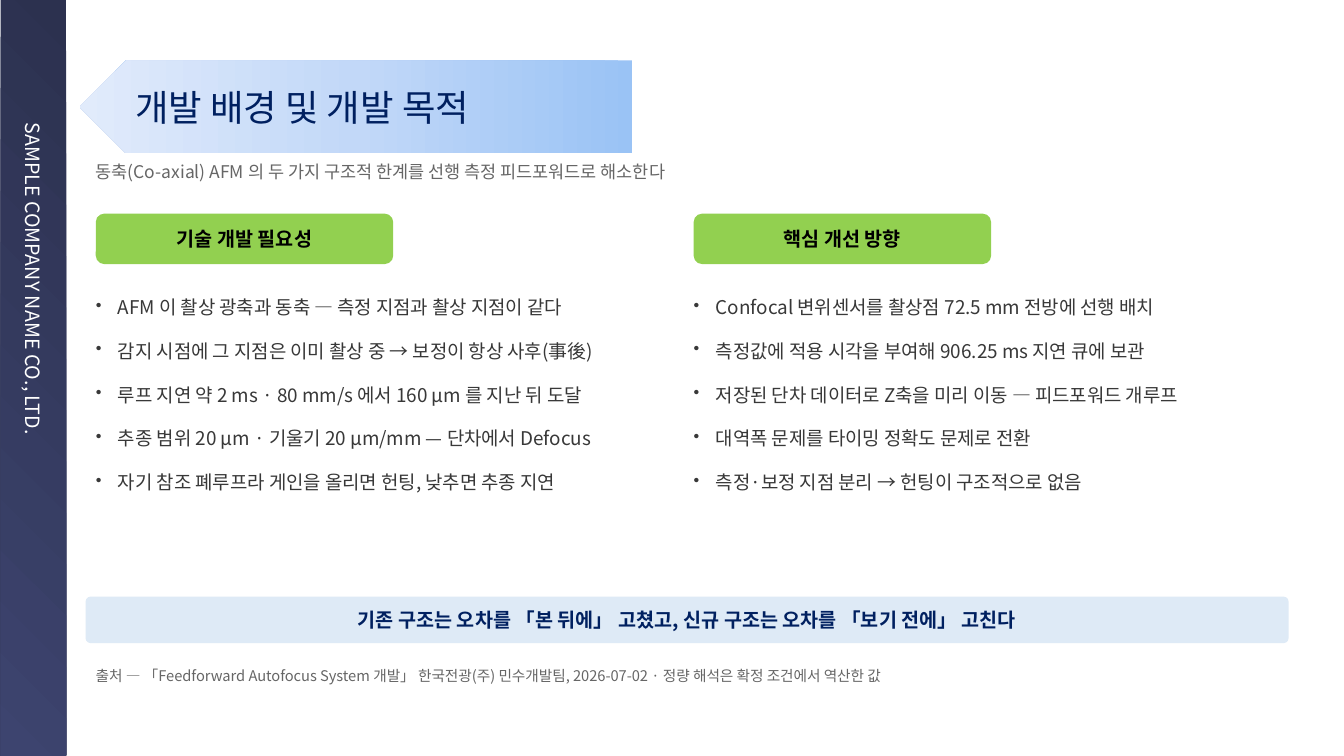
from typing import NamedTuple

from lxml.etree import SubElement
from pptx import Presentation
from pptx.dml.color import RGBColor
from pptx.enum.shapes import MSO_SHAPE
from pptx.enum.text import MSO_ANCHOR, MSO_AUTO_SIZE, PP_ALIGN
from pptx.oxml.ns import qn
from pptx.util import Inches, Pt

FONT = "Noto Sans CJK KR"
NAVY = "002060"
GRAY = "666666"
BODY = "383838"
WHITE = "FFFFFF"
BLACK = "000000"
GREEN = "92D050"
PALE_BLUE = "DEEAF6"
LEFT = 0.95


class Box(NamedTuple):
    left: float
    top: float
    width: float
    height: float


class Column(NamedTuple):
    left: float
    width: float
    heading: str
    points: list[str]


COLUMNS = [
    Column(LEFT, 5.78, "기술 개발 필요성", [
        "AFM 이 촬상 광축과 동축 — 측정 지점과 촬상 지점이 같다",
        "감지 시점에 그 지점은 이미 촬상 중 → 보정이 항상 사후(事後)",
        "루프 지연 약 2 ms · 80 mm/s 에서 160 µm 를 지난 뒤 도달",
        "추종 범위 20 µm · 기울기 20 µm/mm — 단차에서 Defocus",
        "자기 참조 폐루프라 게인을 올리면 헌팅, 낮추면 추종 지연",
    ]),
    Column(6.88, 5.72, "핵심 개선 방향", [
        "Confocal 변위센서를 촬상점 72.5 mm 전방에 선행 배치",
        "측정값에 적용 시각을 부여해 906.25 ms 지연 큐에 보관",
        "저장된 단차 데이터로 Z축을 미리 이동 — 피드포워드 개루프",
        "대역폭 문제를 타이밍 정확도 문제로 전환",
        "측정·보정 지점 분리 → 헌팅이 구조적으로 없음",
    ]),
]


def rgb(color: str) -> RGBColor:
    return RGBColor.from_string(color)


def add_bullet(p) -> None:
    pPr = p._p.get_or_add_pPr()
    pPr.set("marL", str(Inches(0.22)))
    pPr.set("indent", str(Inches(-0.22)))
    SubElement(pPr, qn("a:buSzPct"), val="90000")
    SubElement(pPr, qn("a:buChar"), char="•")


def write_text(sp, *lines: str, size: float, color: str, bold: bool = False,
               align=PP_ALIGN.LEFT, anchor=MSO_ANCHOR.TOP, insets=(0, 0, 0, 0),
               wrap: bool = True, spacing: float | None = None,
               after: float | None = None, bullet: bool = False) -> None:
    tf = sp.text_frame
    tf.word_wrap = wrap
    tf.vertical_anchor = anchor
    tf.margin_left, tf.margin_top, tf.margin_right, tf.margin_bottom = map(Inches, insets)
    for i, line in enumerate(lines):
        p = tf.add_paragraph() if i else tf.paragraphs[0]
        if bullet:
            add_bullet(p)
        p.alignment = align
        if spacing is not None:
            p.line_spacing = spacing
        if after is not None:
            p.space_after = Pt(after)
        r = p.add_run()
        r.text = line
        r.font.size = Pt(size)
        r.font.bold = bold
        r.font.color.rgb = rgb(color)
        r.font.name = FONT
        SubElement(r.font._element, qn("a:ea"), typeface=FONT)


def add_label(s, box: Box, *lines: str, **fmt):
    sp = s.shapes.add_textbox(*map(Inches, box))
    sp.text_frame.auto_size = MSO_AUTO_SIZE.SHAPE_TO_FIT_TEXT
    write_text(sp, *lines, **fmt)
    return sp


def add_panel(s, kind: MSO_SHAPE, box: Box, fill: str | None = None):
    sp = s.shapes.add_shape(kind, *map(Inches, box))
    sp.shadow.inherit = False
    sp.line.fill.background()
    if fill:
        sp.fill.solid()
        sp.fill.fore_color.rgb = rgb(fill)
    return sp


def fill_gradient(sp, colors: list[str], angle: float) -> None:
    sp.fill.gradient()
    sp.fill.gradient_angle = -angle % 360
    stops = sp._element.spPr.find(qn("a:gradFill")).find(qn("a:gsLst"))
    stops.clear()
    for i, color in enumerate(colors):
        stop = SubElement(stops, qn("a:gs"), pos=str(100000 * i // (len(colors) - 1)))
        SubElement(stop, qn("a:srgbClr"), val=color)


def add_sidebar(s) -> None:
    sp = add_panel(s, MSO_SHAPE.RECTANGLE, Box(-3.42, 3.42, 7.5, 0.65))
    sp.rotation = 90
    fill_gradient(sp, ["2C314F", "3D446F"], 45)
    write_text(sp, "SAMPLE COMPANY NAME CO., LTD.", size=14, color=WHITE,
               anchor=MSO_ANCHOR.MIDDLE, insets=(1.22, 0.05, 0.1, 0.05))


def add_title(s) -> None:
    banner = add_panel(s, MSO_SHAPE.PENTAGON, Box(0.79, 0.6, 5.48, 0.92))
    banner._element.spPr.xfrm.set("flipH", "1")
    fill_gradient(banner, ["9AC3F5", "C2D8F8", "E1EBFB"], 0)
    add_label(s, Box(1.34, 0.6, 4.5, 0.92), "개발 배경 및 개발 목적", size=26,
              color=NAVY, anchor=MSO_ANCHOR.MIDDLE, wrap=False)
    add_label(s, Box(LEFT, 1.6, 11.93, 0.34),
              "동축(Co-axial) AFM 의 두 가지 구조적 한계를 선행 측정 피드포워드로 해소한다",
              size=12.5, color=GRAY)


def add_column(s, col: Column) -> None:
    sp = add_panel(s, MSO_SHAPE.FLOWCHART_ALTERNATE_PROCESS,
                   Box(col.left, 2.12, 2.95, 0.5), GREEN)
    write_text(sp, col.heading, size=14, color=BLACK, bold=True, align=PP_ALIGN.CENTER,
               anchor=MSO_ANCHOR.MIDDLE, insets=(0.05, 0, 0.05, 0))
    add_label(s, Box(col.left, 2.88, col.width, 3.4), *col.points, size=13.5,
              color=BODY, spacing=1.25, after=11, bullet=True)


def add_conclusion(s) -> None:
    sp = add_panel(s, MSO_SHAPE.ROUNDED_RECTANGLE, Box(0.85, 5.92, 11.93, 0.46), PALE_BLUE)
    sp.adjustments[0] = 0.1
    write_text(sp, "기존 구조는 오차를 「본 뒤에」 고쳤고, 신규 구조는 오차를 「보기 전에」 고친다",
               size=14, color=NAVY, bold=True, align=PP_ALIGN.CENTER,
               anchor=MSO_ANCHOR.MIDDLE, insets=(0.06, 0.02, 0.06, 0.02))
    add_label(s, Box(LEFT, 6.6, 11.83, 0.3),
              "출처 — 「Feedforward Autofocus System 개발」 한국전광(주) 민수개발팀, "
              "2026-07-02 · 정량 해석은 확정 조건에서 역산한 값",
              size=10.5, color=GRAY, spacing=1.1)


def main() -> None:
    prs = Presentation()
    prs.slide_width = Inches(13.33)
    prs.slide_height = Inches(7.5)
    s = prs.slides.add_slide(prs.slide_layouts[6])
    add_sidebar(s)
    add_title(s)
    for col in COLUMNS:
        add_column(s, col)
    add_conclusion(s)
    prs.save("out.pptx")


if __name__ == "__main__":
    main()
